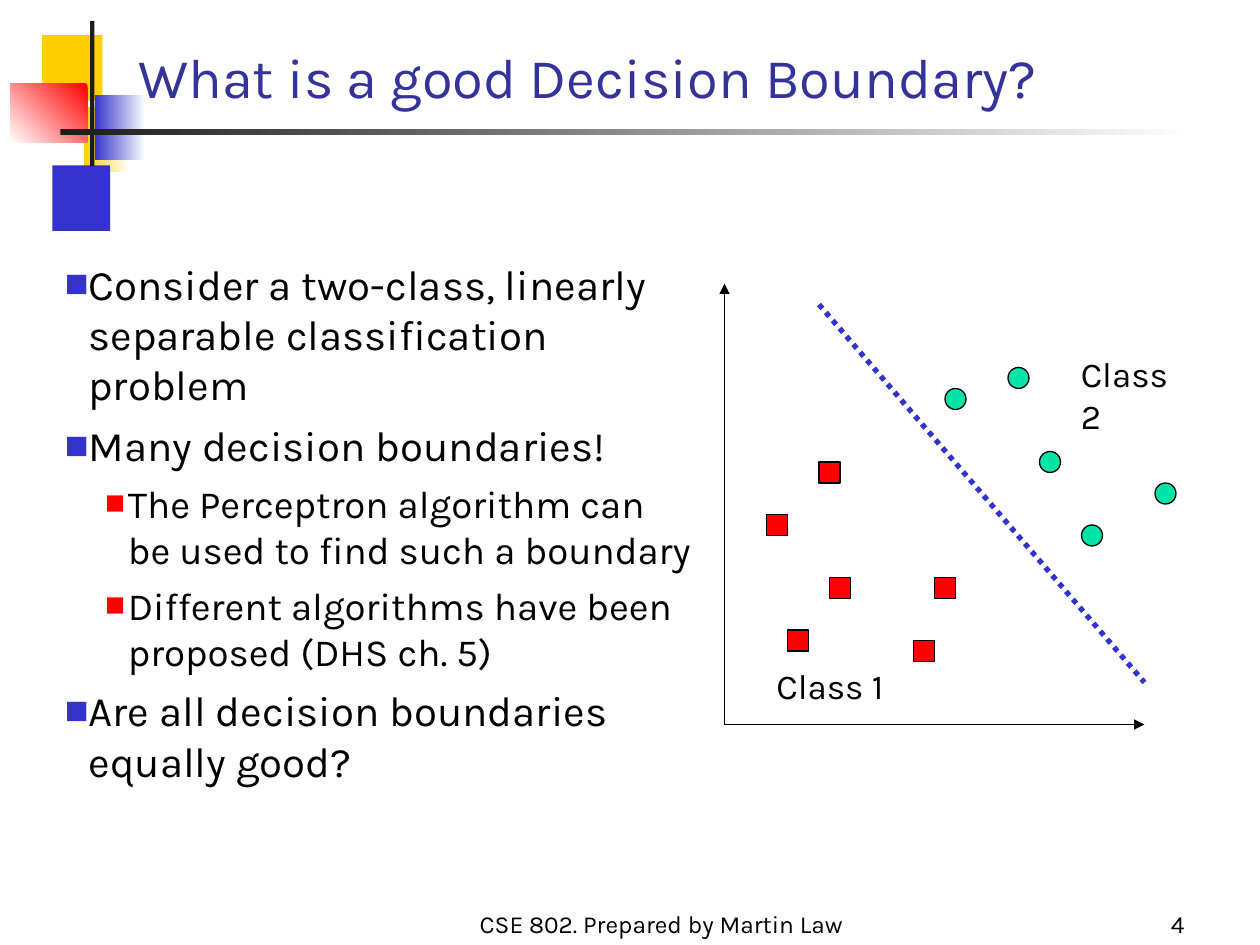
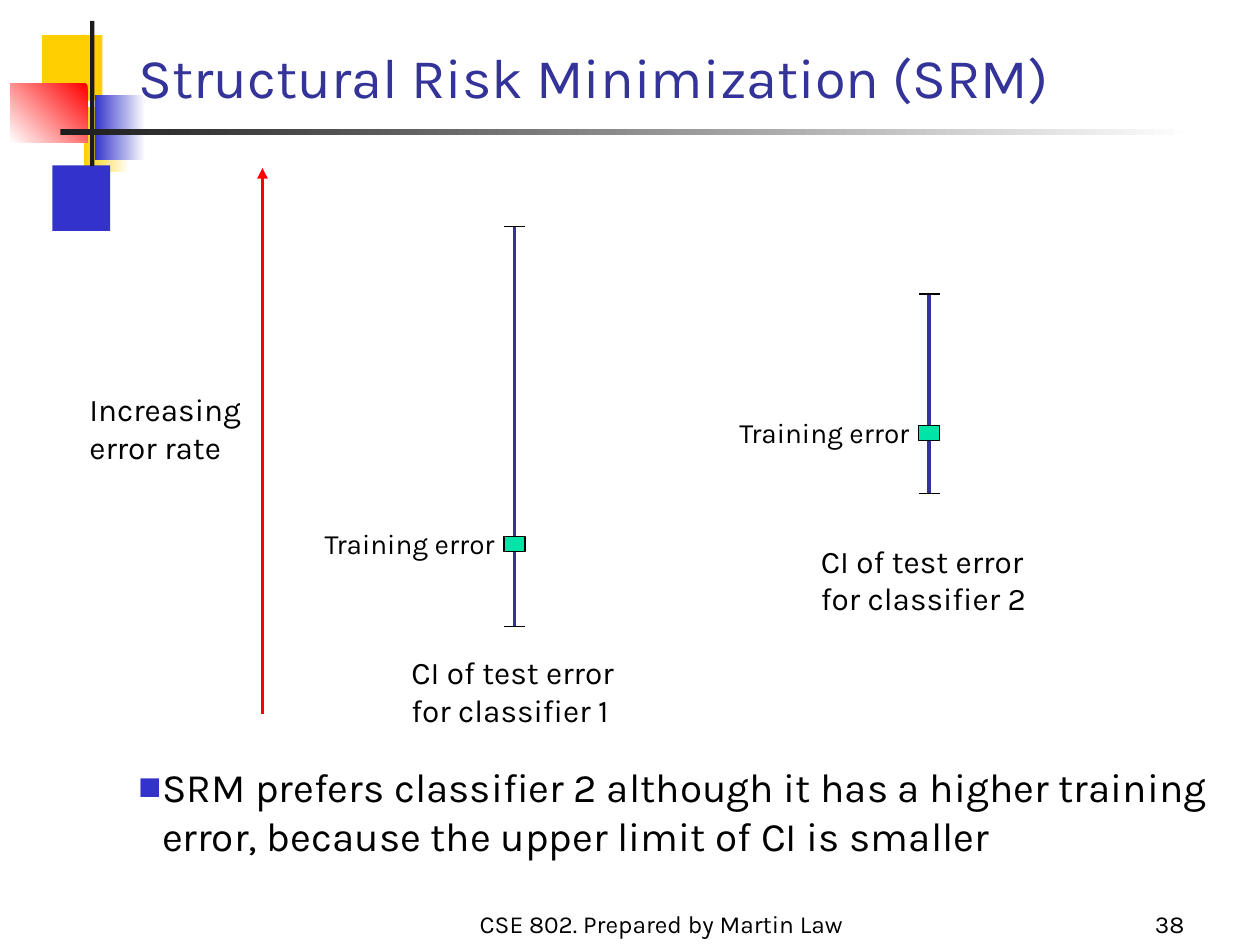
from dataclasses import dataclass
from typing import NamedTuple

from lxml.etree import SubElement
from pptx import Presentation
from pptx.dml.color import RGBColor
from pptx.enum.dml import MSO_LINE
from pptx.enum.shapes import MSO_CONNECTOR, MSO_SHAPE
from pptx.enum.text import MSO_ANCHOR, PP_ALIGN
from pptx.oxml.ns import qn
from pptx.util import Pt

FONT = "Karla"
BLACK, WHITE, RED, MINT = "000000", "FFFFFF", "FF0000", "00E4A8"
BLUE, NAVY, GOLD, COAL = "3333CC", "333399", "FFCF01", "1C1C1C"


class Box(NamedTuple):
    """Left, top, width and height in points."""
    left: float
    top: float
    width: float
    height: float


class Spot(NamedTuple):
    """A place on the slide in points."""
    x: float
    y: float


@dataclass
class Band:
    """A block of the corner design, fading to white if angled."""
    box: Box
    fill: str
    angle: float | None = None


@dataclass
class Level:
    """The look of one bullet level."""
    size: float
    left: float
    hang: float
    space: float
    color: str
    scale: int


@dataclass
class Item:
    """One bullet line."""
    text: str
    level: Level


@dataclass
class Range:
    """The error interval of one classifier."""
    x: float
    high: float
    low: float
    train: float
    note: Spot
    name: str


BANDS = [
    Band(Box(24, 20, 34.5, 37.5), GOLD),
    Band(Box(48, 61, 26, 37.5), GOLD, 0),
    Band(Box(30, 94.5, 33, 37.5), BLUE),
    Band(Box(54, 54, 29, 37.5), BLUE, 0),
    Band(Box(6, 48, 44, 33.5), RED, 225),
    Band(Box(51.5, 12, 2.5, 83), COAL),
    Band(Box(34.5, 74, 648, 3), COAL, 0),
]
MAIN = Level(24, 13.5, 13.5, 6, BLUE, 60)
SUB = Level(22, 36, 13, 5.5, RED, 55)
CLOSE = Level(23.1, 13.5, 13.5, 6.2, BLUE, 60)
POINTS = [
    Item("Consider a two-class, linearly separable classification problem", MAIN),
    Item("Many decision boundaries!", MAIN),
    Item("The Perceptron algorithm can be used to find such a boundary", SUB),
    Item("Different algorithms have been proposed (DHS ch. 5)", SUB),
    Item("Are all decision boundaries equally good?", MAIN),
]
VERDICT = [Item("SRM prefers classifier 2 although it has a higher training error, "
                "because the upper limit of CI is smaller", CLOSE)]
DOTS = [Spot(576, 210), Spot(594, 258), Spot(660, 276), Spot(540, 222), Spot(618, 300)]
TILES = [Spot(438, 294), Spot(534, 330), Spot(522, 366), Spot(474, 330),
         Spot(450, 360), Spot(468, 264)]
RANGES = [
    Range(294, 129.5, 358, 311, Spot(228, 369.5), "classifier 1"),
    Range(531, 168, 282, 247.5, Spot(462, 306), "classifier 2"),
]


def rgb(code: str) -> RGBColor:
    """Turn a hex string into a colour."""
    return RGBColor.from_string(code)


def block(slide, box: Box, fill: str, edge: str | None = None, kind=MSO_SHAPE.RECTANGLE):
    """Draw a flat filled shape."""
    shape = slide.shapes.add_shape(kind, *map(Pt, box))
    shape.shadow.inherit = False
    shape.fill.solid()
    shape.fill.fore_color.rgb = rgb(fill)
    if edge:
        shape.line.color.rgb = rgb(edge)
        shape.line.width = Pt(0.75)
    else:
        shape.line.fill.background()
    return shape


def band(slide, part: Band) -> None:
    """Draw one block of the corner design."""
    shape = block(slide, part.box, part.fill)
    if part.angle is not None:
        shape.fill.gradient()
        shape.fill.gradient_angle = part.angle
        for stop, code in zip(shape.fill.gradient_stops, (part.fill, WHITE)):
            stop.color.rgb = rgb(code)


def line(slide, start: Spot, end: Spot, color: str = BLACK, width: float = 0.75,
         arrow: bool = False, dash: bool = False) -> None:
    """Draw a straight line, with an arrowhead or dots if asked."""
    link = slide.shapes.add_connector(MSO_CONNECTOR.STRAIGHT, *map(Pt, (*start, *end)))
    link.line.color.rgb = rgb(color)
    link.line.width = Pt(width)
    if dash:
        link.line.dash_style = MSO_LINE.ROUND_DOT
    if arrow:
        SubElement(link.line._get_or_add_ln(), qn("a:tailEnd"), type="triangle")
    SubElement(link._element.spPr, qn("a:effectLst"))


def write(slide, box: Box, text: str, size: float, color: str = BLACK,
          align=PP_ALIGN.LEFT, anchor=MSO_ANCHOR.TOP):
    """Place a text box and return its frame."""
    frame = slide.shapes.add_textbox(*map(Pt, box)).text_frame
    frame.word_wrap = True
    frame.vertical_anchor = anchor
    frame.text = text
    for para in frame.paragraphs:
        para.alignment = align
        for run in para.runs:
            run.font.name = FONT
            run.font.size = Pt(size)
            run.font.color.rgb = rgb(color)
    return frame


def bullets(slide, box: Box, items: list[Item]) -> None:
    """Place a bulleted list."""
    frame = write(slide, box, "\n".join(item.text for item in items), MAIN.size)
    for rank, (para, item) in enumerate(zip(frame.paragraphs, items)):
        look = item.level
        para.level = int(look is SUB)
        props = para._p.get_or_add_pPr()
        props.set("marL", str(Pt(look.left)))
        props.set("indent", str(-Pt(look.hang)))
        tint = SubElement(props, qn("a:buClr"))
        SubElement(tint, qn("a:srgbClr"), val=look.color)
        SubElement(props, qn("a:buSzPct"), val=str(look.scale * 1000))
        SubElement(props, qn("a:buFont"), typeface=FONT)
        SubElement(props, qn("a:buChar"), char="■")
        if rank:
            para.space_before = Pt(look.space)
        para.runs[0].font.size = Pt(look.size)


def start(deck, title: str, page: int):
    """Add a slide with the shared design, title and footer."""
    slide = deck.slides.add_slide(deck.slide_layouts[6])
    for part in BANDS:
        band(slide, part)
    low = MSO_ANCHOR.BOTTOM
    write(slide, Box(72, 6, 632, 60), title, 32, NAVY, anchor=low)
    write(slide, Box(264, 516, 228, 24), "CSE 802. Prepared by Martin Law", 14,
          align=PP_ALIGN.CENTER, anchor=low)
    write(slide, Box(534, 516, 150, 24), str(page), 14, align=PP_ALIGN.RIGHT, anchor=low)
    return slide


def bounds(deck) -> None:
    """Build the slide on decision boundaries."""
    slide = start(deck, "What is a good Decision Boundary?", 4)
    bullets(slide, Box(30, 144, 372, 366), POINTS)
    root = Spot(414, 414)
    for tip in (Spot(414, 162), Spot(654, 414)):
        line(slide, root, tip, width=1, arrow=True)
    for spots, fill, kind in ((DOTS, MINT, MSO_SHAPE.OVAL),
                              (TILES, RED, MSO_SHAPE.RECTANGLE)):
        for spot in spots:
            block(slide, Box(*spot, 12, 12), fill, BLACK, kind)
    write(slide, Box(436.5, 376, 84, 32), "Class 1", 20)
    write(slide, Box(610.5, 198, 70, 56), "Class 2", 20)
    line(slide, Spot(468, 174), Spot(654, 390), BLUE, 3, dash=True)


def whisker(slide, part: Range) -> None:
    """Draw an error interval with its caps, marker and labels."""
    line(slide, Spot(part.x, part.low), Spot(part.x, part.high), NAVY, 2)
    block(slide, Box(part.x - 6, part.train - 4.25, 12, 8.5), MINT, BLACK)
    for y in (part.low, part.high):
        line(slide, Spot(part.x - 6, y), Spot(part.x + 6, y))
    write(slide, Box(*part.note, 144, 50), f"CI of test error for {part.name}", 18)
    write(slide, Box(part.x - 115.5, part.train - 13.5, 119, 27), "Training error", 16)


def risk(deck) -> None:
    """Build the slide on structural risk."""
    slide = start(deck, "Structural Risk Minimization (SRM)", 38)
    line(slide, Spot(150, 408), Spot(150, 96), RED, 2, arrow=True)
    write(slide, Box(44, 219.5, 103, 50), "Increasing\nerror rate", 18)
    for part in RANGES:
        whisker(slide, part)
    bullets(slide, Box(72, 432, 633, 72), VERDICT)


def main() -> None:
    """Build and save the deck."""
    deck = Presentation()
    deck.slide_width, deck.slide_height = Pt(720), Pt(540)
    bounds(deck)
    risk(deck)
    deck.save("out.pptx")


if __name__ == "__main__":
    main()
